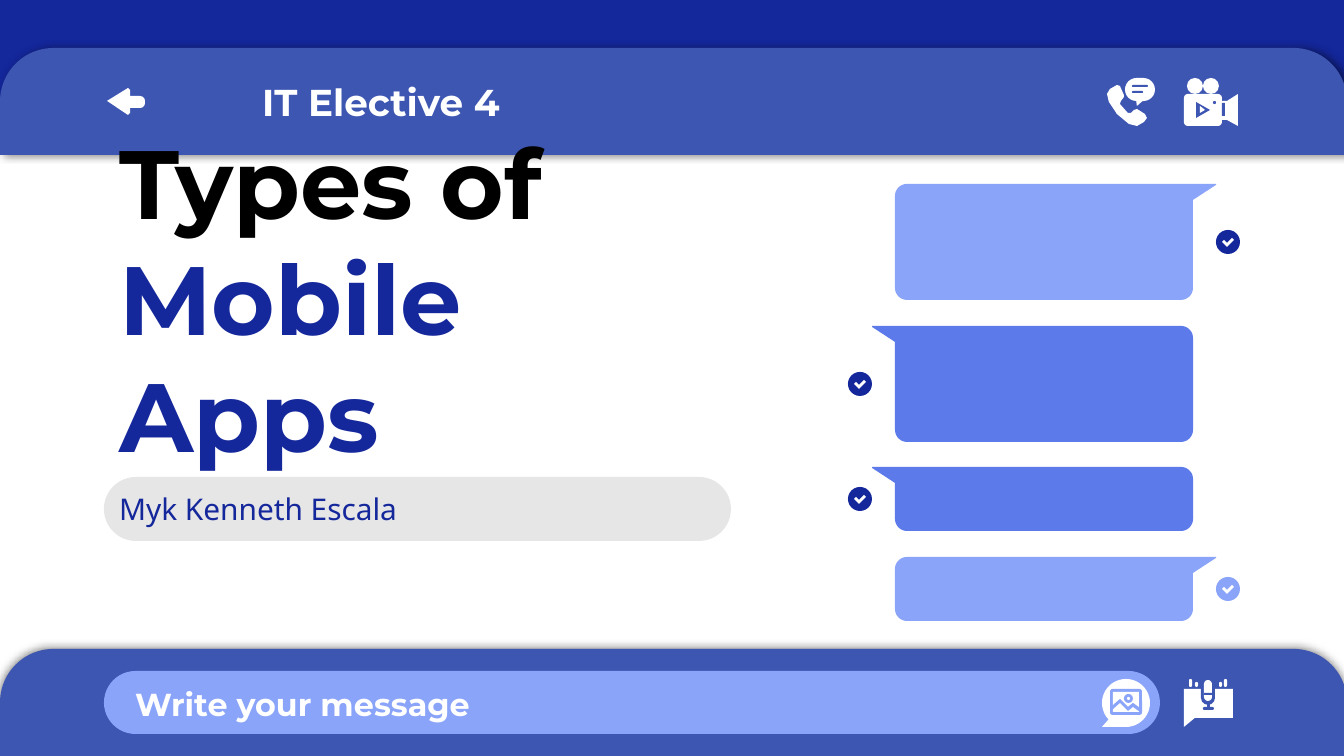
import math

import lxml.etree
import pptx
import pptx.dml.color
import pptx.enum.shapes
import pptx.enum.text
import pptx.oxml.ns
import pptx.util

PX = 914400 / 134.4
RGBColor = pptx.dml.color.RGBColor
NAVY = RGBColor(0x14, 0x27, 0x9B)
BAR = RGBColor(0x3D, 0x56, 0xB2)
LIGHT = RGBColor(0x8A, 0xA4, 0xF9)
MEDIUM = RGBColor(0x5C, 0x7A, 0xEA)
GREY = RGBColor(0xE6, 0xE6, 0xE6)
WHITE = RGBColor(0xFF, 0xFF, 0xFF)
BLACK = RGBColor(0, 0, 0)
MSO = pptx.enum.shapes.MSO_SHAPE
RECT, PILL, OVAL = MSO.RECTANGLE, MSO.ROUNDED_RECTANGLE, MSO.OVAL
ANCHOR = pptx.enum.text.MSO_ANCHOR

prs = pptx.Presentation()
prs.slide_width = round(1344 * PX)
prs.slide_height = round(756 * PX)
s = prs.slides.add_slide(prs.slide_layouts[6])


def add_preset(kind, x, y, w, h, color, adj=()):
    sp = s.shapes.add_shape(kind, *(round(v * PX) for v in (x, y, w, h)))
    for i, value in enumerate(adj):
        sp.adjustments[i] = value
    sp.shadow.inherit = False
    sp.fill.solid()
    sp.fill.fore_color.rgb = color
    sp.line.fill.background()
    return sp


def add_outline(points, color):
    pts = [(round(x * PX), round(y * PX)) for x, y in points]
    builder = s.shapes.build_freeform(*pts[0])
    builder.add_line_segments(pts[1:])
    sp = builder.convert_to_shape()
    sp.shadow.inherit = False
    sp.fill.solid()
    sp.fill.fore_color.rgb = color
    sp.line.fill.background()


add_preset(RECT, 0, -1, 1347, 137, NAVY)
for top, angle in ((48, 0), (649, 237)):
    sp = add_preset(MSO.ROUND_2_SAME_RECTANGLE, 0, top, 1347, 107, BAR, (0.5, 0))
    qn = pptx.oxml.ns.qn
    effects = sp.element.spPr.find(qn("a:effectLst"))
    shadow = lxml.etree.SubElement(
        effects, qn("a:outerShdw"), blurRad=str(pptx.util.Pt(4.5)),
        dist=str(pptx.util.Pt(1.5)), dir=str(angle * 60000),
        algn="bl", rotWithShape="0")
    tint = lxml.etree.SubElement(shadow, qn("a:srgbClr"), val="000000")
    lxml.etree.SubElement(tint, qn("a:alpha"), val="50000")

add_preset(PILL, 104, 671, 1056, 63, LIGHT, (0.5,))
add_preset(PILL, 104, 477, 627, 64, GREY, (0.5,))

# fmt: off
phone = [(1117, 85), (1110, 89), (1107, 94), (1109, 102), (1117, 114), (1129, 124),
         (1137, 126), (1144, 122), (1147, 118), (1145, 114), (1137, 109), (1134, 110),
         (1131, 113), (1128, 113), (1120, 104), (1121, 101), (1124, 97), (1124, 95),
         (1120, 86)]
ridge = [(1112, 706), (1120, 699), (1128, 707), (1133, 703), (1140, 708)]
ridge += [(x, y + 4) for x, y in reversed(ridge)]

icon_parts = [
    ([(107, 101), (128, 88), (130, 90), (130, 113), (128, 115)], WHITE),
    (PILL, 124, 96, 21, 12, WHITE, (0.4,)),
    (phone, WHITE),
    (PILL, 1125, 78, 30, 23, WHITE, (0.5,)),
    ([(1136, 99), (1145, 99), (1137, 106)], WHITE),
    (PILL, 1132, 85, 16, 2, BAR, (0.5,)),
    (PILL, 1132, 91, 11, 2, BAR, (0.5,)),
    (OVAL, 1187, 78, 16, 16, WHITE),
    (OVAL, 1203, 78, 16, 16, WHITE),
    (PILL, 1184, 94, 38, 32, WHITE, (0.12,)),
    ([(1221, 101), (1227, 101), (1238, 94), (1238, 126), (1227, 120), (1221, 120)], WHITE),
    (RECT, 1222, 103, 3, 13, BAR),
    (OVAL, 1213, 101, 3, 3, BAR),
    ([(1196, 102), (1210, 110), (1196, 118)], BAR),
    ([(1200, 106), (1205, 110), (1200, 113)], WHITE),
    ([(1184, 689), (1233, 689), (1233, 718), (1195, 718), (1184, 727)], WHITE),
    (PILL, 1201, 680, 14, 25, BAR, (0.5,)),
    (PILL, 1204, 680, 8, 21, WHITE, (0.5,)),
    (RECT, 1204, 693, 8, 2, BAR),
    (RECT, 1207, 703, 3, 6, BAR),
    (PILL, 1203, 707, 11, 3, BAR, (0.5,)),
    (PILL, 1189, 679, 3, 8, WHITE, (0.5,)),
    (PILL, 1195, 682, 3, 5, WHITE, (0.5,)),
    (PILL, 1219, 682, 3, 5, WHITE, (0.5,)),
    (PILL, 1224, 679, 3, 8, WHITE, (0.5,)),
    (OVAL, 1102, 679, 48, 48, WHITE),
    ([(1109, 719), (1102, 727), (1126, 727)], WHITE),
    (PILL, 1110, 689, 32, 26, LIGHT, (0.1,)),
    (RECT, 1113, 692, 26, 20, WHITE),
    (ridge, LIGHT),
    (OVAL, 1124, 694, 9, 9, LIGHT),
    (OVAL, 1127, 697, 3, 3, WHITE),
]
# fmt: on
for part in icon_parts:
    if isinstance(part[0], list):
        add_outline(*part)
    else:
        add_preset(*part)

LEFT, RIGHT, RADIUS, TAIL = 895, 1193, 12, 23
check = [(-6, 0), (-4, -2), (-1, 1), (4, -4), (6, -2), (-1, 5)]
for top, height, tail_right, color, tick in (
    (184, 116, True, LIGHT, NAVY),
    (326, 116, False, MEDIUM, NAVY),
    (467, 64, False, MEDIUM, NAVY),
    (557, 64, True, LIGHT, LIGHT),
):
    points = [(RIGHT + TAIL, top), (RIGHT + TAIL, top + 1), (RIGHT, top + 16)]
    for cx, cy, start in (
        (RIGHT - RADIUS, top + height - RADIUS, 0),
        (LEFT + RADIUS, top + height - RADIUS, 90),
        (LEFT + RADIUS, top + RADIUS, 180),
    ):
        for step in range(0, 91, 10):
            a = math.radians(start + step)
            points.append((cx + RADIUS * math.cos(a), cy + RADIUS * math.sin(a)))
    tick_x = RIGHT + TAIL + 12
    if not tail_right:
        points = [(LEFT + RIGHT - x, y) for x, y in points]
        tick_x = LEFT + RIGHT - tick_x
    add_outline(points, color)
    tick_y = top + height / 2
    add_preset(OVAL, tick_x - 12, tick_y - 12, 24, 24, tick)
    add_outline([(tick_x + x, tick_y + y) for x, y in check], WHITE)

for text, x, y, w, h, size, font, bold, colors, anchor in (
    ("Types of\vMobile Apps", 106, 228, 636, 257, 52, "Montserrat", True,
     (BLACK, NAVY), ANCHOR.BOTTOM),
    ("Myk Kenneth Escala", 106, 477, 622, 73, 16, "Noto Sans", False,
     (NAVY,), ANCHOR.TOP),
    ("IT Elective 4", 249, 66, 501, 73, 20, "Montserrat", True, (WHITE,), ANCHOR.TOP),
    ("Write your message", 122, 671, 501, 63, 17, "Montserrat", True,
     (WHITE,), ANCHOR.TOP),
):
    sp = s.shapes.add_textbox(*(round(v * PX) for v in (x, y, w, h)))
    tf = sp.text_frame
    tf.word_wrap = True
    tf.vertical_anchor = anchor
    tf.margin_left = tf.margin_right = pptx.util.Inches(0.1)
    tf.margin_top = tf.margin_bottom = pptx.util.Inches(0.1)
    p = tf.paragraphs[0]
    p.text = text
    p.font.size = pptx.util.Pt(size)
    for r, color in zip(p.runs, colors):
        r.font.size = pptx.util.Pt(size)
        r.font.name = font
        r.font.bold = bold
        r.font.color.rgb = color

prs.save("out.pptx")
